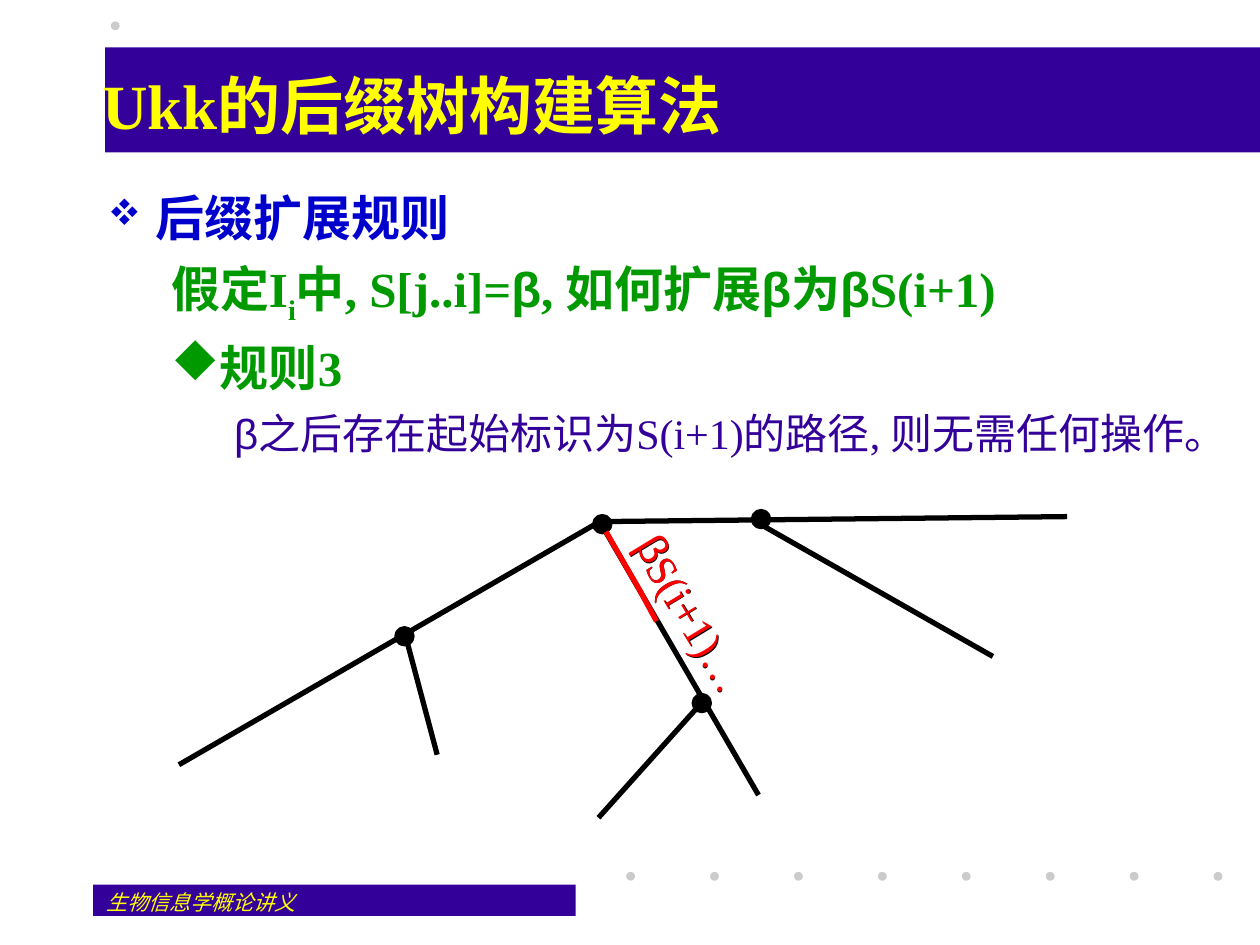
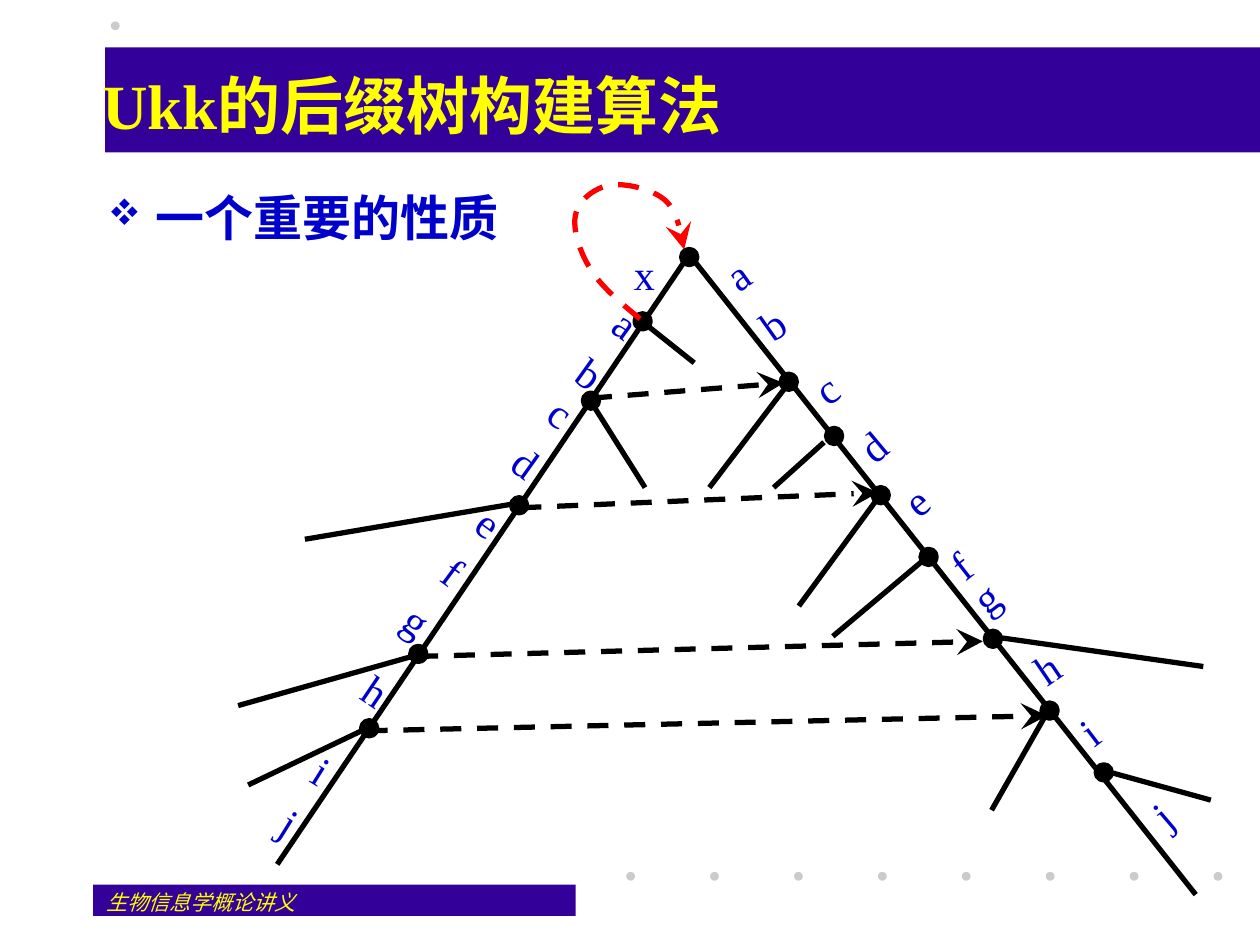
import lxml.etree
import pptx
import pptx.dml.color
import pptx.enum.dml
import pptx.enum.shapes
import pptx.enum.text
import pptx.oxml.ns
import pptx.util

SLIDE_WIDTH = pptx.util.Inches(10)
SLIDE_HEIGHT = pptx.util.Inches(7.5)
COLUMNS, ROWS = 100, 75

PURPLE, YELLOW, GRAY = "330099", "FFFF00", "CBCBCB"
BLUE, GREEN, RED, BLACK = "0000CC", "009900", "FF0000", "000000"
SERIF, SANS, SYMBOLS = "Times New Roman", "Arial", "Wingdings"
FOUR_DIAMONDS, DIAMOND = "v", "u"
STROKE = 3
NODE = 1.2
PADDING = (1, 0.5)

RECTANGLE = pptx.enum.shapes.MSO_SHAPE.RECTANGLE
OVAL = pptx.enum.shapes.MSO_SHAPE.OVAL
CENTER = pptx.enum.text.PP_ALIGN.CENTER
LEFT = pptx.enum.text.PP_ALIGN.LEFT

TITLE = "Ukk的后缀树构建算法"
COURSE = "生物信息学概论讲义"

RULE_BRANCHES = [
    (47.6, 41.4, 84.7, 41), (47.6, 41.4, 14.2, 60.7), (60.5, 41.7, 78.8, 52.1),
    (32.3, 50.9, 34.7, 59.9), (47.6, 41.4, 60.2, 63.1), (55.3, 56.2, 47.5, 64.9),
]
RULE_NODES = [(47.8, 41.6), (32.1, 50.5), (55.7, 55.8), (60.4, 41.2)]

LINK_BRANCHES = [
    (54.7, 20.2, 22, 68.6), (54.7, 20.2, 94.9, 71),
    (51.2, 25.7, 55.1, 28.8), (47.1, 32.2, 51.2, 38.7), (40.7, 40, 24.2, 42.8),
    (32.7, 52.1, 18.9, 56), (28.7, 58, 19.7, 62.3),
    (62.6, 30.4, 56.3, 38.7), (65.4, 35.1, 61.4, 38.7), (69.7, 39.5, 63.4, 48.1),
    (73.6, 44.2, 66.1, 50.5), (78.6, 50.5, 95.5, 52.9), (83.2, 56.4, 78.7, 64.3),
    (87.4, 61.1, 96.1, 63.5),
]
LINK_NODES = [
    (54.7, 20.4), (51, 25.5), (46.9, 31.8), (41.2, 40.1), (33.2, 51.9), (29.3, 57.8),
    (62.6, 30.3), (66.2, 34.6), (69.9, 39.3), (73.7, 44.2), (78.8, 50.7), (83.3, 56.4),
    (87.6, 61.3),
]
SUFFIX_LINKS = [
    (46.9, 31.6, 62.2, 30.4), (41.3, 40.3, 69.7, 39.1),
    (33.1, 52.1, 78, 50.9), (29.1, 58, 83.1, 56.8),
]
ROOT_LINK_START = (50.8, 25.3)
ROOT_LINK_CURVES = [
    ((49.2, 24), (47.7, 22.7), (46.9, 21.4)),
    ((46, 20), (45.4, 18.1), (45.7, 17)),
    ((45.9, 15.9), (47.2, 14.9), (48.4, 14.7)),
    ((49.6, 14.5), (51.8, 15), (52.8, 15.9)),
    ((53.7, 16.7), (54, 18.2), (54.3, 19.8)),
]
EDGE_LETTERS = [
    ("x", 50.3, 19.7, 1.7, 0), ("ab", 47.4, 23.2, 1.8, 35.6),
    ("cd", 42.3, 30.3, 1.8, 35.6), ("efg", 34.2, 38.5, 3.6, 36.4),
    ("h", 28.7, 52.8, 2.4, 34.1), ("ij", 23.4, 58.8, 1.8, 31.9),
    ("ab", 59.1, 19.3, 1.6, 324.7), ("c", 64.6, 28.8, 1.9, 323.9),
    ("d", 68.5, 33.5, 1.2, 320.1), ("e", 72, 37.8, 1.2, 320.1),
    ("h", 82.3, 51.2, 0.9, 325.9), ("i", 86, 56.2, 0.4, 322.7),
    ("j", 91.5, 62.7, 1.4, 319.4),
]


def across(columns):
    return round(SLIDE_WIDTH * columns / COLUMNS)


def down(rows):
    return round(SLIDE_HEIGHT * rows / ROWS)


def box(left, top, width, height):
    return across(left), down(top), across(width), down(height)


def color(hex_code):
    return pptx.dml.color.RGBColor.from_string(hex_code)


def add_child(parent, tag, **attributes):
    child = lxml.etree.SubElement(parent, pptx.oxml.ns.qn(tag))
    for key, value in attributes.items():
        child.set(key, value)
    return child


def style(run, size, hex_code, font=SERIF, bold=False, italic=False):
    run.font.size = pptx.util.Pt(size)
    run.font.name = font
    run.font.bold = bold
    run.font.italic = italic
    run.font.color.rgb = color(hex_code)


def set_frame(frame, padding=(0, 0), wrap=True):
    frame.margin_left = frame.margin_right = across(padding[0])
    frame.margin_top = frame.margin_bottom = down(padding[1])
    frame.word_wrap = wrap
    frame.auto_size = pptx.enum.text.MSO_AUTO_SIZE.NONE


def add_block(slide, shape_kind, area, hex_code):
    block = slide.shapes.add_shape(shape_kind, *box(*area))
    block.shadow.inherit = False
    block.fill.solid()
    block.fill.fore_color.rgb = color(hex_code)
    block.line.fill.background()
    return block


def stroke(line, hex_code, link=False):
    line.color.rgb = color(hex_code)
    line.width = pptx.util.Pt(STROKE)
    if link:
        line.dash_style = pptx.enum.dml.MSO_LINE.DASH
        add_child(line._get_or_add_ln(), "a:tailEnd", type="stealth", w="lg", len="lg")


def add_edge(slide, ends, hex_code=BLACK, link=False):
    x1, y1, x2, y2 = ends
    edge = slide.shapes.add_connector(
        pptx.enum.shapes.MSO_CONNECTOR.STRAIGHT, across(x1), down(y1), across(x2), down(y2))
    stroke(edge.line, hex_code, link)
    add_child(edge._element.spPr, "a:effectLst")


def add_node(slide, center):
    x, y = center
    node = add_block(slide, OVAL, (x - NODE / 2, y - NODE / 2, NODE, NODE), BLACK)
    stroke(node.line, BLACK)


def add_tree(slide, branches, nodes):
    for ends in branches:
        add_edge(slide, ends)
    for center in nodes:
        add_node(slide, center)


def add_label(slide, lines, area, angle, hex_code, font=SERIF, wrap=True, tight=False):
    label = slide.shapes.add_textbox(*box(*area))
    label.rotation = angle
    frame = label.text_frame
    set_frame(frame, wrap=wrap)
    frame.text = "\n".join(lines)
    for index, paragraph in enumerate(frame.paragraphs):
        paragraph.alignment = CENTER
        if index and tight:
            paragraph.line_spacing = 0.8
        elif index:
            paragraph.space_before = pptx.util.Pt(6)
        style(paragraph.runs[0], 24, hex_code, font)


def add_edge_letters(slide, letters, left, top, width, angle, tight=False):
    step = 3.2 if tight else 4.85
    height = 4 + step * (len(letters) - 1)
    add_label(slide, letters, (left, top, width, height), angle, BLUE, tight=tight)


def bezier(start, first, second, end, steps=16):
    for step in range(1, steps + 1):
        t = step / steps
        u = 1 - t
        yield tuple(
            u**3 * a + 3 * u * u * t * b + 3 * u * t * t * c + t**3 * d
            for a, b, c, d in zip(start, first, second, end))


def add_root_link(slide):
    points = [ROOT_LINK_START]
    for curve in ROOT_LINK_CURVES:
        points.extend(bezier(points[-1], *curve))
    places = [(across(x), down(y)) for x, y in points]
    builder = slide.shapes.build_freeform(*places[0])
    builder.add_line_segments(places[1:], close=False)
    link = builder.convert_to_shape()
    link.shadow.inherit = False
    link.fill.background()
    stroke(link.line, RED, link=True)


def add_bullet(paragraph, mark, hex_code, percent):
    properties = paragraph._p.get_or_add_pPr()
    add_child(add_child(properties, "a:buClr"), "a:srgbClr", val=hex_code)
    add_child(properties, "a:buSzPct", val=str(percent * 1000))
    add_child(properties, "a:buFont", typeface=SYMBOLS, charset="2")
    add_child(properties, "a:buChar", char=mark)


def indent(paragraph, margin, hanging):
    properties = paragraph._p.get_or_add_pPr()
    properties.set("marL", str(across(margin)))
    properties.set("indent", str(-across(hanging)))
    properties.set("hangingPunct", "0")


def add_body(slide, heading, width):
    body = slide.shapes.add_textbox(*box(7.6, 14.4, width, 53.8))
    frame = body.text_frame
    set_frame(frame, PADDING)
    frame.text = heading
    paragraph = frame.paragraphs[0]
    indent(paragraph, 3.8, 3.8)
    add_bullet(paragraph, FOUR_DIAMONDS, BLUE, 75)
    style(paragraph.runs[0], 28, BLUE, bold=True)
    return frame


def add_point(frame, text, level, margin, hanging, size, hex_code, bold, space, mark=None):
    paragraph = frame.add_paragraph()
    paragraph.level = level
    indent(paragraph, margin, hanging)
    if mark:
        add_bullet(paragraph, mark, hex_code, 100)
    paragraph.space_before = pptx.util.Pt(space)
    for piece in text:
        run = paragraph.add_run()
        run.text = piece
        style(run, size, hex_code, SANS if piece == "β" else SERIF, bold)
        if piece == "i":
            run.font._element.set("baseline", "-25000")


def decorate(slide):
    add_block(slide, RECTANGLE, (7.4, 70.2, 38.3, 2.5), PURPLE)
    for index in range(8):
        add_block(slide, OVAL, (49.7 + 6.66 * index, 69.2, 0.7, 0.7), GRAY)
    add_block(slide, RECTANGLE, (8.35, 3.75, 91.65, 8.35), PURPLE)
    add_block(slide, OVAL, (8.8, 1.7, 0.7, 0.7), GRAY)
    for shape in list(slide.shapes):
        if not shape.is_placeholder:
            slide.slide_layout.shapes._spTree.append(shape._element)


def add_titled_slide(deck):
    slide = deck.slides.add_slide(deck.slide_layouts[5])
    title = slide.shapes.title
    title.left, title.top, title.width, title.height = box(7.1, 3.3, 89, 10)
    set_frame(title.text_frame, PADDING)
    title.text_frame.vertical_anchor = pptx.enum.text.MSO_ANCHOR.MIDDLE
    title.text_frame.text = TITLE
    title.text_frame.paragraphs[0].alignment = LEFT
    style(title.text_frame.paragraphs[0].runs[0], 36, YELLOW, bold=True)
    return slide


def add_course_name(slide):
    course = slide.shapes.add_textbox(*box(7.5, 70.1, 20.8, 2.5))
    set_frame(course.text_frame, PADDING)
    course.text_frame.text = COURSE
    style(course.text_frame.paragraphs[0].runs[0], 12, YELLOW, italic=True)


def fill_rule_slide(slide):
    frame = add_body(slide, "后缀扩展规则", 92.4)
    assumption = ["假定I", "i", "中, S[j..i]=", "β", ", 如何扩展", "β", "为", "β", "S(i+1)"]
    add_point(frame, assumption, 1, 8.1, 3.1, 28, GREEN, True, 7)
    add_point(frame, ["规则3"], 1, 8.1, 3.1, 28, GREEN, True, 7, DIAMOND)
    outcome = ["β", "之后存在起始标识为S(i+1)的路径, 则无需任何操作。"]
    add_point(frame, outcome, 2, 12.5, 2.5, 24, PURPLE, False, 6)
    add_tree(slide, RULE_BRANCHES, RULE_NODES)
    add_edge(slide, (48.1, 42.2, 50.8, 46.9), RED)
    add_edge(slide, (50.8, 46.9, 52.1, 49.3), RED)
    for hex_code, shift in ((BLACK, 0.05), (RED, 0)):
        add_label(slide, ["S(i+1)…"], (49.4 + shift, 47.5 + shift, 11.9, 4), 58.8,
                  hex_code, wrap=False)
        add_label(slide, ["β"], (51.1 + shift, 41.5 + shift, 1.8, 4), 58.8,
                  hex_code, SANS, wrap=False)


def fill_property_slide(slide):
    add_body(slide, "一个重要的性质", 89)
    add_tree(slide, LINK_BRANCHES, LINK_NODES)
    add_root_link(slide)
    for letters in EDGE_LETTERS:
        add_edge_letters(slide, *letters)
    add_edge_letters(slide, "fg", 76.4, 42.5, 1.6, 322.2, tight=True)
    for ends in SUFFIX_LINKS:
        add_edge(slide, ends, link=True)


def main():
    deck = pptx.Presentation()
    deck.slide_width, deck.slide_height = SLIDE_WIDTH, SLIDE_HEIGHT
    for index, fill in enumerate((fill_rule_slide, fill_property_slide)):
        slide = add_titled_slide(deck)
        if index == 0:
            decorate(slide)
        add_course_name(slide)
        fill(slide)
    deck.save("out.pptx")


if __name__ == "__main__":
    main()
